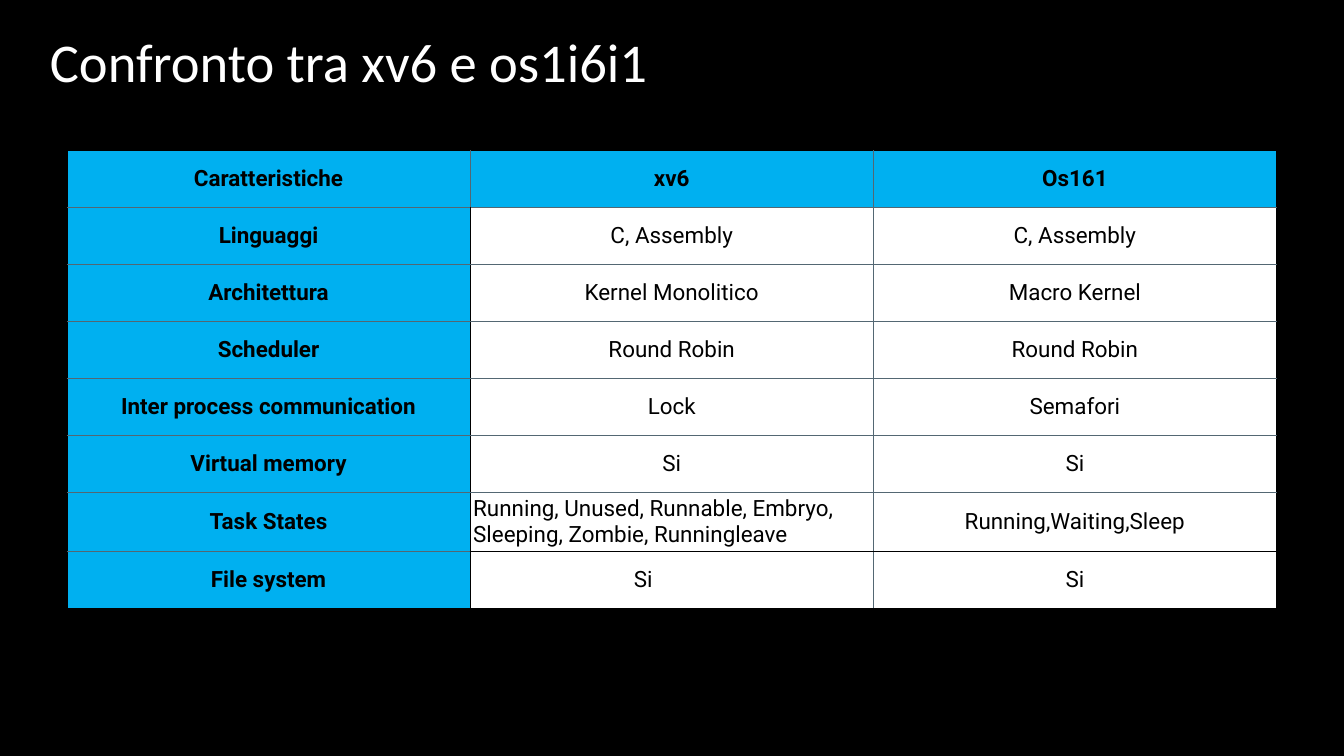
from dataclasses import dataclass

from lxml.etree import SubElement
from pptx import Presentation
from pptx.dml.color import RGBColor
from pptx.enum.text import MSO_ANCHOR as Anchor, PP_ALIGN as Align
from pptx.oxml.ns import qn
from pptx.util import Inches, Pt


@dataclass(frozen=True)
class Theme:
    black: str = "000000"
    white: str = "FFFFFF"
    blue: str = "00B0F0"
    grey: str = "536773"
    title_font: str = "Calibri"
    table_font: str = "Roboto"
    title_size: int = 78
    table_size: int = 32


theme = Theme()
INSET = Inches(0.06)
COMPARISON = [
    ("Caratteristiche", "xv6", "Os161"),
    ("Linguaggi", "C, Assembly", "C, Assembly"),
    ("Architettura", "Kernel Monolitico", "Macro Kernel"),
    ("Scheduler", "Round Robin", "Round Robin"),
    ("Inter process communication", "Lock", "Semafori"),
    ("Virtual memory", "Si", "Si"),
    ("Task States",
     "Running, Unused, Runnable, Embryo, Sleeping, Zombie, Runningleave",
     "Running,Waiting,Sleep"),
    ("File system", "Si", "Si"),
]
LAST_ROW, LAST_COL = len(COMPARISON) - 1, len(COMPARISON[0]) - 1
# Cells of the xv6 column set flush left, with their indent in inches
LEFT_INDENTS = {(6, 1): 0, (7, 1): 3.19}


def style_font(font, name, size, color, bold=False):
    for attribute, value in {"name": name, "size": Pt(size), "bold": bold}.items():
        setattr(font, attribute, value)
    font.color.rgb = RGBColor.from_string(color)


def add_border(cell, side, color, width):
    line = SubElement(cell._tc.get_or_add_tcPr(), qn(f"a:ln{side}"), w=str(Pt(width)))
    SubElement(SubElement(line, qn("a:solidFill")), qn("a:srgbClr"), val=color)


prs = Presentation()
prs.slide_width, prs.slide_height = Inches(26.67), Inches(15)
slide = prs.slides.add_slide(prs.slide_layouts[5])
slide.background.fill.solid()
slide.background.fill.fore_color.rgb = RGBColor.from_string(theme.black)

# Title
title = slide.shapes.title
title.left, title.top = Inches(0.93), Inches(0.51)
title.width, title.height = Inches(24.81), Inches(1.57)
frame = title.text_frame
frame.text = "Confronto tra xv6 e os1i6i1"
frame.word_wrap = True
frame.vertical_anchor = Anchor.MIDDLE
for side in ("left", "right", "top", "bottom"):
    setattr(frame, f"margin_{side}", INSET)
heading = frame.paragraphs[0]
heading.alignment = Align.LEFT
heading.line_spacing = 0.9
style_font(heading.font, theme.title_font, theme.title_size, theme.white)

# Comparison table
table = slide.shapes.add_table(
    len(COMPARISON), len(COMPARISON[0]),
    Inches(1.33), Inches(2.99), Inches(24), Inches(9.04)).table
table.first_row = table.horz_banding = False
for column in table.columns:
    column.width = Inches(8)

for r, features in enumerate(COMPARISON):
    table.rows[r].height = Inches(1.13)
    for c, feature in enumerate(features):
        cell = table.cell(r, c)
        is_heading = r == 0 or c == 0
        cell.text = feature
        cell.vertical_anchor = Anchor.MIDDLE
        for side in ("left", "right", "top", "bottom"):
            setattr(cell, f"margin_{side}", INSET)

        paragraph = cell.text_frame.paragraphs[0]
        paragraph.alignment = Align.CENTER
        if (r, c) in LEFT_INDENTS:
            paragraph.alignment = Align.LEFT
            paragraph._p.get_or_add_pPr().set("marL", str(Inches(LEFT_INDENTS[r, c])))
        style_font(paragraph.font, theme.table_font, theme.table_size,
                   theme.black, is_heading)

        label_edge = c == 0 and r > 0
        black_sides = {
            "L": c == 0,
            "R": c == LAST_COL or label_edge,
            "T": r == 0 or (r == LAST_ROW and c > 0),
            "B": r in (0, LAST_ROW) or (r == LAST_ROW - 1 and c > 0),
        }
        for side, is_black in black_sides.items():
            add_border(cell, side, theme.black if is_black else theme.grey,
                       2 if side == "R" and label_edge else 1)
        cell.fill.solid()
        cell.fill.fore_color.rgb = RGBColor.from_string(
            theme.blue if is_heading else theme.white)

prs.save("out.pptx")
